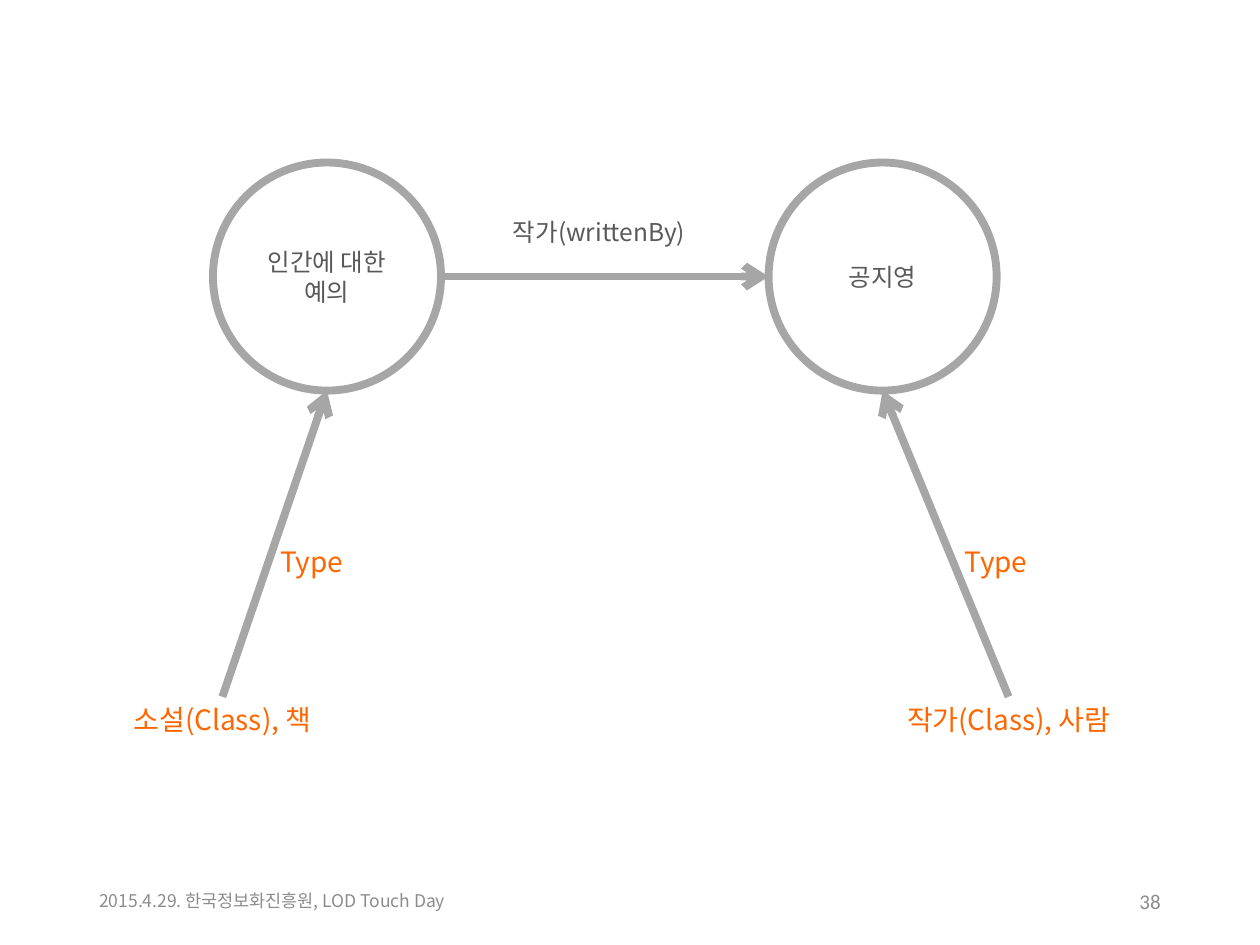
from lxml import etree
from pptx import Presentation
from pptx.dml.color import RGBColor
from pptx.enum.shapes import MSO_CONNECTOR, MSO_SHAPE
from pptx.enum.text import MSO_ANCHOR, PP_ALIGN
from pptx.oxml.ns import qn
from pptx.util import Inches, Pt

STRAIGHT, OVAL = MSO_CONNECTOR.STRAIGHT, MSO_SHAPE.OVAL
TOP, MIDDLE = MSO_ANCHOR.TOP, MSO_ANCHOR.MIDDLE
LEFT, CENTER, RIGHT = PP_ALIGN.LEFT, PP_ALIGN.CENTER, PP_ALIGN.RIGHT

COLORS = {"line": "A6A6A6", "text": "595959", "accent": "FF6600", "footer": "8C8C8C"}
KOREAN, LATIN = "Noto Sans CJK KR", "Calibri"

RESOURCES = [
    {"name": "인간에 대한 예의", "left": 1.69, "class": "소설(Class), 책",
     "class_left": 0.67, "type_left": 1.38},
    {"name": "공지영", "left": 6.1, "class": "작가(Class), 사람",
     "class_left": 6.91, "type_left": 6.81},
]
PROPERTY, TYPE = "작가(writtenBy)", "Type"
FOOTER, PAGE = "2015.4.29. 한국정보화진흥원, LOD Touch Day", "38"

WIDTH, HEIGHT = 10, 7.5
CIRCLE, CIRCLE_TOP = 1.81, 1.29
LABEL_W, LABEL_H = 2.19, 0.37
PROPERTY_TOP, TYPE_TOP, CLASS_TOP = 1.67, 4.27, 5.53
FOOTER_TOP, FOOTER_H = 6.95, 0.4

prs = Presentation()
prs.slide_width, prs.slide_height = Inches(WIDTH), Inches(HEIGHT)
slide = prs.slides.add_slide(prs.slide_layouts[6])


def write(holder, text, size=16, color="accent", font=KOREAN, align=CENTER, anchor=TOP):
    frame = holder.text_frame
    frame.word_wrap = True
    frame.vertical_anchor = anchor
    paragraph = frame.paragraphs[0]
    paragraph.alignment = align
    run = paragraph.add_run()
    run.text = text
    run.font.size = Pt(size)
    run.font.color.rgb = RGBColor.from_string(COLORS[color])
    run.font.name = font
    etree.SubElement(run.font._element, qn("a:ea"), typeface=font)


def add_label(text, left, top, width=LABEL_W, height=LABEL_H, **style):
    label = slide.shapes.add_textbox(*map(Inches, (left, top, width, height)))
    write(label, text, **style)
    return label


def outline(part):
    part.line.color.rgb = RGBColor.from_string(COLORS["line"])
    part.line.width = Pt(4.5)


def add_circle(name, left):
    circle = slide.shapes.add_shape(OVAL, *map(Inches, (left, CIRCLE_TOP, CIRCLE, CIRCLE)))
    circle.shadow.inherit = False
    circle.fill.background()
    outline(circle)
    write(circle, name, size=14, color="text", anchor=MIDDLE)


def add_arrow(start, end):
    arrow = slide.shapes.add_connector(STRAIGHT, *map(Inches, (*start, *end)))
    outline(arrow)
    etree.SubElement(arrow.line._get_or_add_ln(), qn("a:tailEnd"), type="arrow")
    etree.SubElement(arrow._element.spPr, qn("a:effectLst"))
    return arrow


add_label(FOOTER, 0.69, FOOTER_TOP, 6, FOOTER_H,
          size=10, color="footer", align=LEFT, anchor=MIDDLE)

for resource in RESOURCES:
    add_circle(resource["name"], resource["left"])
    class_label = add_label(resource["class"], resource["class_left"], CLASS_TOP)
    type_arrow = add_arrow(
        (resource["class_left"] + LABEL_W / 2, CLASS_TOP),
        (resource["left"] + CIRCLE / 2, CIRCLE_TOP + CIRCLE),
    )
    type_arrow.begin_connect(class_label, 0)
    add_label(TYPE, resource["type_left"], TYPE_TOP)

book, author = RESOURCES
middle = CIRCLE_TOP + CIRCLE / 2
add_arrow((book["left"] + CIRCLE, middle), (author["left"], middle))
add_label(PROPERTY, 3.66, PROPERTY_TOP, height=0.34, size=14, color="text")

add_label(PAGE, 7.06, FOOTER_TOP, 2.25, FOOTER_H,
          size=12, color="footer", font=LATIN, align=RIGHT, anchor=MIDDLE)

prs.save("out.pptx")
